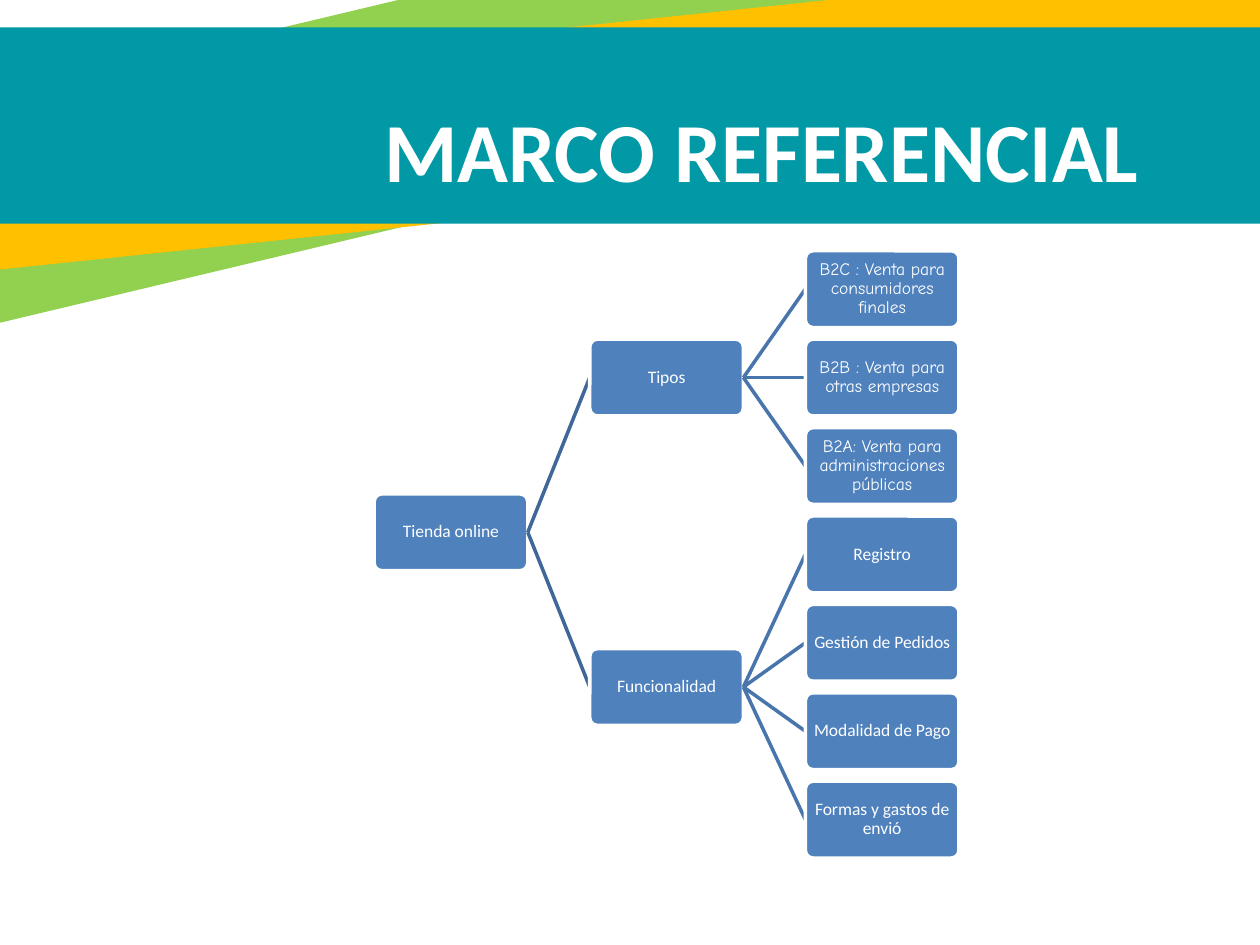
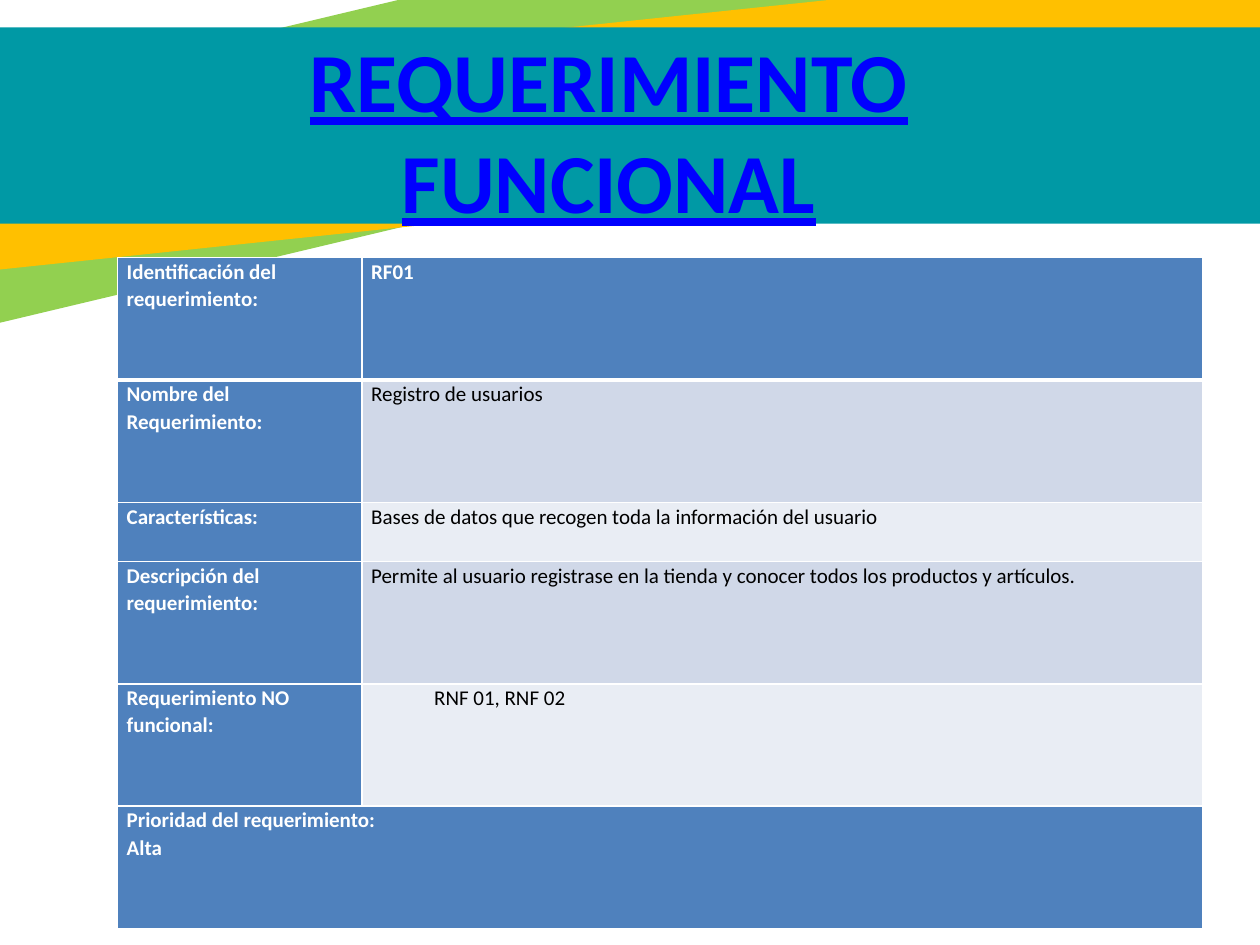
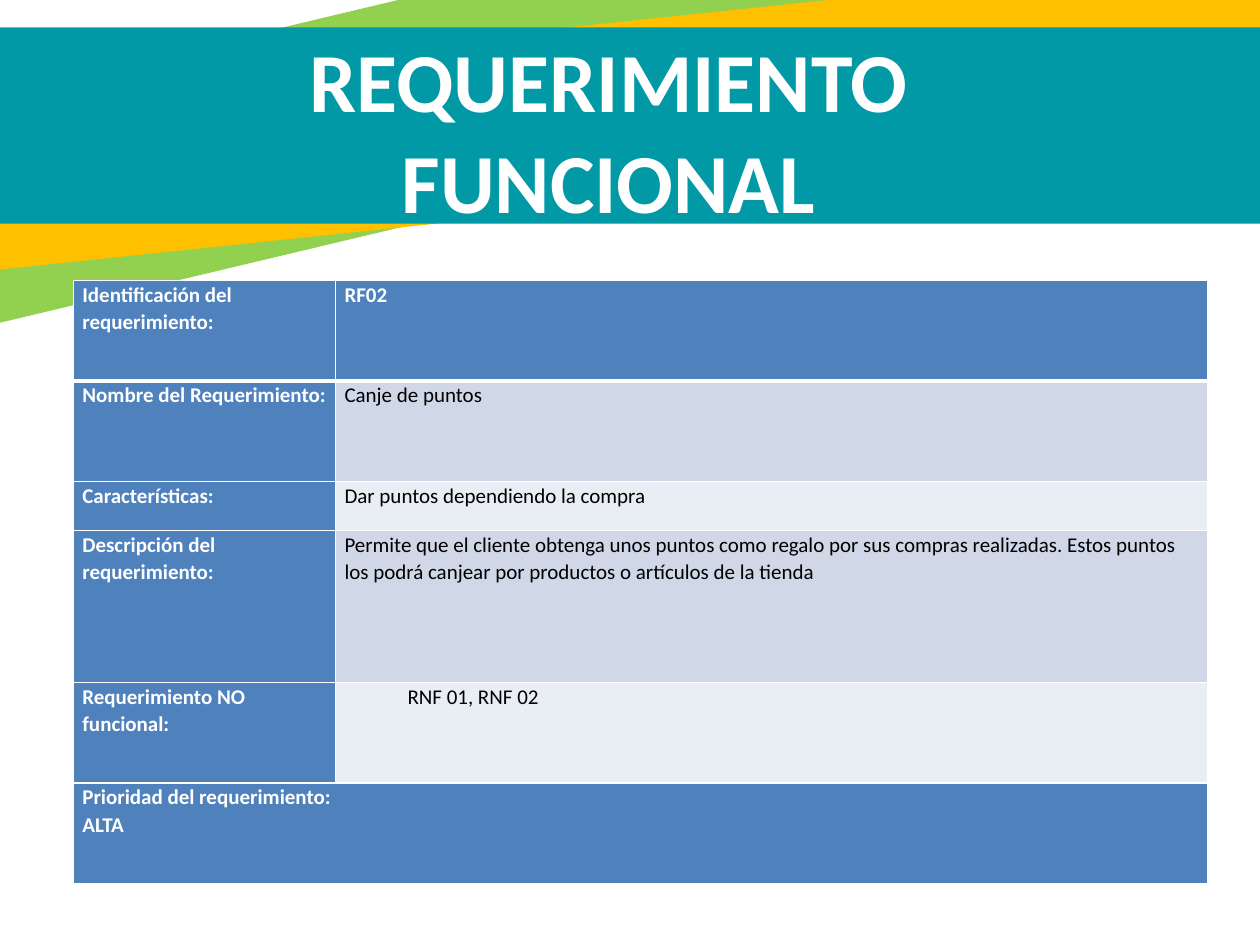
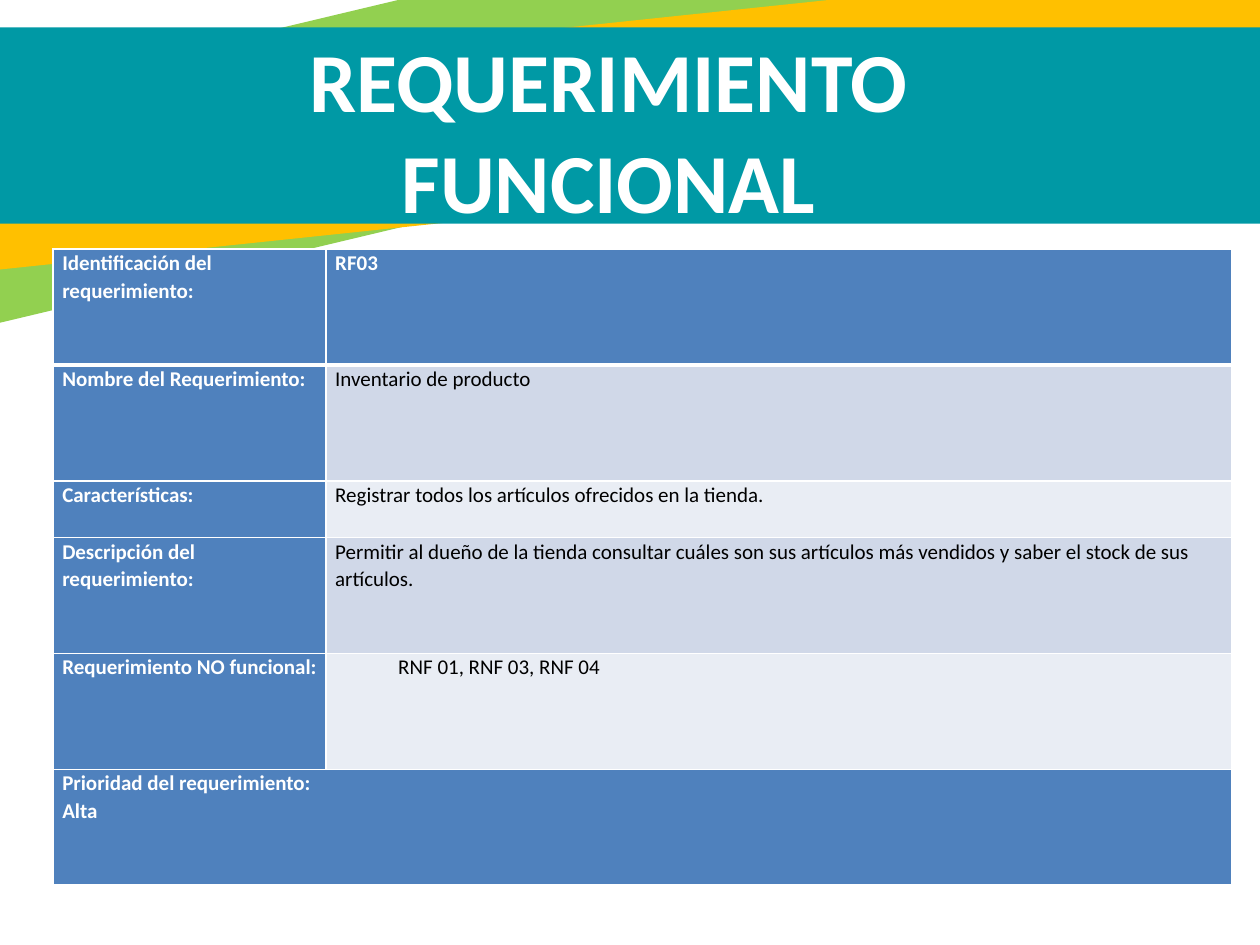
import collections
import dataclasses

import lxml.etree
import pptx
import pptx.dml.color
import pptx.enum.shapes
import pptx.enum.text
import pptx.oxml.ns
import pptx.util

Pt = pptx.util.Pt
qn = pptx.oxml.ns.qn
ALIGN = pptx.enum.text.PP_ALIGN
MIDDLE = pptx.enum.text.MSO_ANCHOR.MIDDLE
SHAPE = pptx.enum.shapes.MSO_SHAPE

Box = collections.namedtuple("Box", "left top width height")
Node = collections.namedtuple("Node", "label font children", defaults=((),))
Requirement = collections.namedtuple(
    "Requirement", "values left top width label_width row_heights title_color underlined")


@dataclasses.dataclass(frozen=True)
class Theme:
    teal: str = "0099A5"
    amber: str = "FFC000"
    green: str = "92D050"
    blue: str = "4F81BD"
    root_link: str = "3F6797"
    leaf_link: str = "4875AC"
    band_dark: str = "D0D8E8"
    band_light: str = "E9EDF4"
    white: str = "FFFFFF"
    black: str = "000000"
    title_link: str = "0000FF"
    font: str = "Calibri"
    playful_font: str = "Comic Neue"
    title_size: int = 48
    table_size: int = 12
    node_size: int = 10


THEME = Theme()
PAGE = Box(0, 0, 720, 540)

# Slide background: box, rotation and colour of each band, back to front
BANDS = (
    (Box(-180.7, -13, 940.3, 126.7), 346.6, THEME.green),
    (Box(-79.2, 14.4, 837.4, 103.7), 354, THEME.amber),
    (Box(-76.3, 15.7, 837.4, 112.1), 0, THEME.teal),
)

# Tree of the reference framework
TREE_BOX = Box(213.8, 143.3, 334.2, 347)
NODE_WIDTH, NODE_HEIGHT = 87.8, 43.9
TREE = Node("Tienda online", THEME.font, (
    Node("Tipos", THEME.font, (
        Node("B2C : Venta para consumidores finales", THEME.playful_font),
        Node("B2B : Venta para otras empresas", THEME.playful_font),
        Node("B2A: Venta para administraciones públicas", THEME.playful_font),
    )),
    Node("Funcionalidad", THEME.font, (
        Node("Registro", THEME.font),
        Node("Gestión de Pedidos", THEME.font),
        Node("Modalidad de Pago", THEME.font),
        Node("Formas y gastos de envió", THEME.font),
    )),
))

# Requirement sheets
LABELS = (
    "Identificación del requerimiento:",
    "Nombre del Requerimiento:",
    "Características:",
    "Descripción del requerimiento:",
    "Requerimiento NO funcional:",
    "Prioridad del requerimiento:",
)
REQUIREMENTS = (
    Requirement(
        ("RF01", "Registro de usuarios",
         "Bases de datos que recogen toda la información del usuario",
         "Permite al usuario registrase en la tienda y conocer todos los productos y artículos.",
         "RNF 01, RNF 02", "Alta"),
        67.2, 147.3, 620, 139.7, (69.9, 69.9, 33.9, 69.9, 69.9, 69.9),
        THEME.title_link, True),
    Requirement(
        ("RF02", "Canje de puntos", "Dar puntos dependiendo la compra",
         "Permite que el cliente obtenga unos puntos como regalo por sus compras realizadas. "
         "Estos puntos los podrá canjear por productos o artículos de la tienda",
         "RNF 01, RNF 02", "ALTA"),
        41.9, 160.3, 648, 149.8, (57.4, 57.4, 28, 87, 57.4, 57.4),
        THEME.white, False),
    Requirement(
        ("RF03", "Inventario de producto",
         "Registrar todos los artículos ofrecidos en la tienda.",
         "Permitir al dueño de la tienda consultar cuáles son sus artículos más vendidos "
         "y saber el stock de sus artículos.",
         "RNF 01, RNF 03, RNF 04", "Alta"),
        30.4, 142.3, 673.4, 156, (66.3, 66.3, 32.2, 66.3, 66.3, 66.3),
        THEME.white, False),
)


def rgb(color):
    return pptx.dml.color.RGBColor.from_string(color)


def points(box):
    return [Pt(length) for length in box]


def style_font(para, size, color, font=THEME.font, bold=False, underlined=False):
    for span in para.runs:
        span.font.name = font
        span.font.size = Pt(size)
        span.font.bold = bold
        span.font.color.rgb = rgb(color)
        if underlined:
            span.font.underline = True


def add_block(page, kind, box, color):
    block = page.shapes.add_shape(kind, *points(box))
    block.shadow.inherit = False
    block.fill.solid()
    block.fill.fore_color.rgb = rgb(color)
    block.line.fill.background()
    return block


def add_page(deck):
    page = deck.slides.add_slide(deck.slide_layouts[6])
    for box, rotation, color in BANDS:
        add_block(page, SHAPE.RECTANGLE, box, color).rotation = rotation
    return page


def add_title(page, box, text, align, color=THEME.white, underlined=False):
    frame = page.shapes.add_textbox(*points(box)).text_frame
    frame.word_wrap = True
    frame.vertical_anchor = MIDDLE
    frame.text = text
    para = frame.paragraphs[0]
    para.alignment = align
    style_font(para, THEME.title_size, color, bold=True, underlined=underlined)


# Tree diagram
def add_node(page, box, node):
    block = add_block(page, SHAPE.ROUNDED_RECTANGLE, box, THEME.blue)
    block.adjustments[0] = 0.1
    block.line.color.rgb = rgb(THEME.white)
    block.line.width = Pt(2)
    frame = block.text_frame
    frame.margin_left = frame.margin_right = frame.margin_top = frame.margin_bottom = Pt(1)
    frame.word_wrap = True
    frame.vertical_anchor = MIDDLE
    frame.text = node.label
    para = frame.paragraphs[0]
    para.alignment = ALIGN.CENTER
    para.line_spacing = 0.9
    style_font(para, THEME.node_size, THEME.white, node.font)


def add_link(page, start, end, color):
    link = page.shapes.add_connector(
        pptx.enum.shapes.MSO_CONNECTOR.STRAIGHT, *points(start + end))
    link.line.color.rgb = rgb(color)
    link.line.width = Pt(2)
    lxml.etree.SubElement(link._element.spPr, qn("a:effectLst"))


def count_leaves(node):
    return sum(map(count_leaves, node.children)) or 1


def middle_row(node, first_row):
    """Row of a node: a leaf takes its own, a parent the mean of its children."""
    if not node.children:
        return first_row
    rows = []
    for child in node.children:
        rows.append(middle_row(child, first_row))
        first_row += count_leaves(child)
    return sum(rows) / len(rows)


def add_tree(page, box, tree, levels=3):
    column_step = (box.width - NODE_WIDTH) / (levels - 1)
    row_step = (box.height - NODE_HEIGHT) / (count_leaves(tree) - 1)

    def add_branch(node, level, first_row, parent_port=None):
        left = box.left + level * column_step
        top = box.top + middle_row(node, first_row) * row_step
        center = top + NODE_HEIGHT / 2
        if parent_port:
            color = THEME.root_link if level == 1 else THEME.leaf_link
            add_link(page, parent_port, (left, center), color)
        add_node(page, Box(left, top, NODE_WIDTH, NODE_HEIGHT), node)
        for child in node.children:
            add_branch(child, level + 1, first_row, (left + NODE_WIDTH, center))
            first_row += count_leaves(child)

    add_branch(tree, 0, 0)


# Requirement table
def set_borders(cell, top=1, bottom=1):
    properties = cell._tc.get_or_add_tcPr()
    for side, width in (("L", 1), ("R", 1), ("T", top), ("B", bottom)):
        line = lxml.etree.SubElement(properties, qn("a:ln" + side), w=str(Pt(width)))
        fill = lxml.etree.SubElement(line, qn("a:solidFill"))
        lxml.etree.SubElement(fill, qn("a:srgbClr"), val=THEME.white)


def fill_cell(cell, text, fill, color, bold):
    cell.fill.solid()
    cell.fill.fore_color.rgb = rgb(fill)
    cell.margin_left = cell.margin_right = Pt(5.2)
    cell.margin_top = cell.margin_bottom = 0
    cell.text_frame.text = text
    for para in cell.text_frame.paragraphs:
        para.line_spacing = 1.07
        style_font(para, THEME.table_size, color, bold=bold)


def add_requirement_table(page, box, sheet):
    table = page.shapes.add_table(len(LABELS), 2, *points(box)).table
    table.columns[0].width = Pt(sheet.label_width)
    table.columns[1].width = Pt(box.width - sheet.label_width)
    last = len(LABELS) - 1
    for index, (label, value) in enumerate(zip(LABELS, sheet.values)):
        table.rows[index].height = Pt(sheet.row_heights[index])
        label_cell, value_cell = table.cell(index, 0), table.cell(index, 1)
        for cell in (label_cell, value_cell):
            set_borders(cell, top=3 if index == 1 else 1, bottom=3 if index == 0 else 1)
        if index == last:
            label_cell.merge(value_cell)
            fill_cell(label_cell, label + "\n" + value, THEME.blue, THEME.white, True)
            continue
        fill_cell(label_cell, label, THEME.blue, THEME.white, True)
        if index == 0:
            fill_cell(value_cell, value, THEME.blue, THEME.white, True)
        else:
            band = THEME.band_dark if index % 2 else THEME.band_light
            fill_cell(value_cell, value, band, THEME.black, False)
    # The list of linked requirements is indented
    linked = table.cell(last - 1, 1).text_frame.paragraphs[0]
    linked._p.get_or_add_pPr().set("marL", str(Pt(36)))


# Types of slide
def add_tree_page(deck):
    page = add_page(deck)
    add_title(page, Box(212.4, 48.2, 446.4, 73.4), "MARCO REFERENCIAL", ALIGN.LEFT)
    add_tree(page, TREE_BOX, TREE)


def add_requirement_page(deck, sheet):
    page = add_page(deck)
    box = Box(sheet.left, sheet.top, sheet.width, sum(sheet.row_heights))
    add_requirement_table(page, box, sheet)
    add_title(page, Box(124.6, 37.4, 446.4, 73.4), "REQUERIMIENTO FUNCIONAL",
              ALIGN.CENTER, sheet.title_color, sheet.underlined)


def main():
    deck = pptx.Presentation()
    deck.slide_width, deck.slide_height = Pt(PAGE.width), Pt(PAGE.height)
    add_tree_page(deck)
    for sheet in REQUIREMENTS:
        add_requirement_page(deck, sheet)
    deck.save("out.pptx")


if __name__ == "__main__":
    main()
